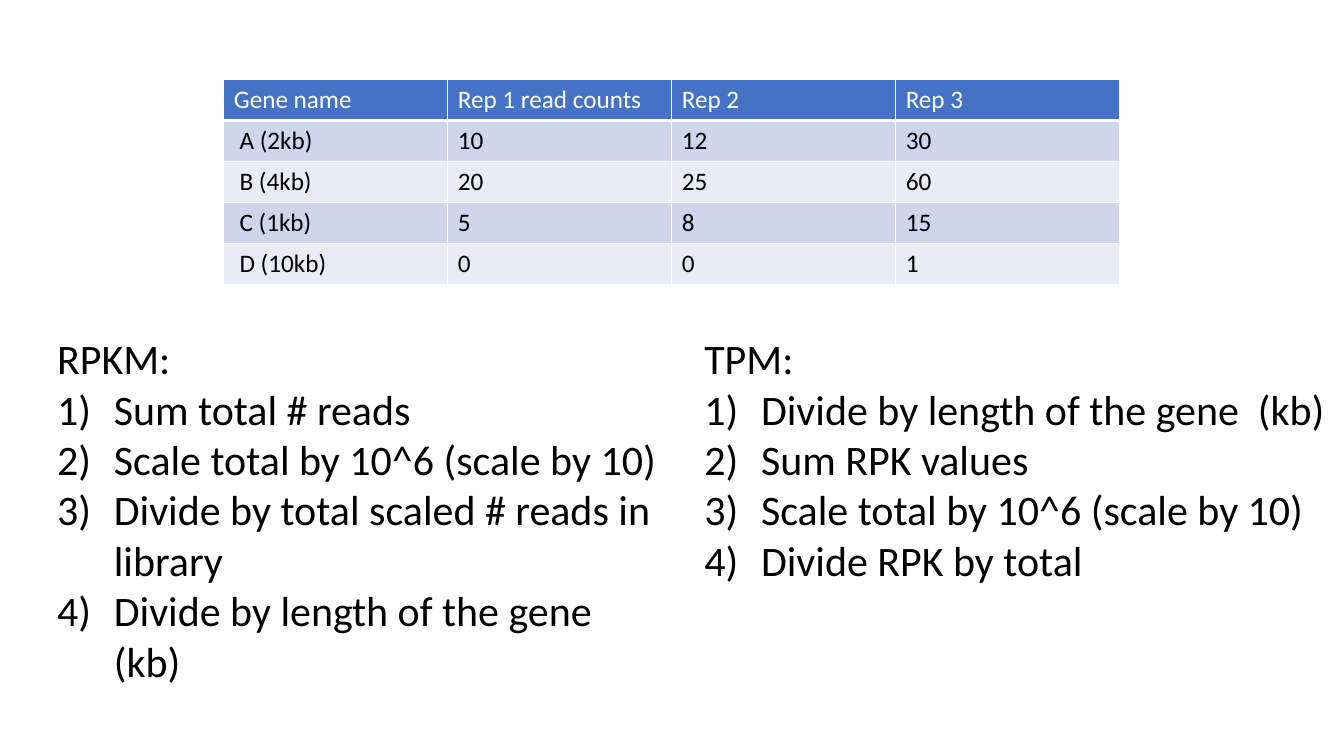
"""Build a slide comparing the RPKM and TPM steps beneath a table of read counts."""
import pptx
import pptx.dml.color
import pptx.enum.text
import pptx.oxml
import pptx.oxml.ns
import pptx.util
from pptx.util import Cm

WHITE = pptx.dml.color.RGBColor(0xFF, 0xFF, 0xFF)
BLACK = pptx.dml.color.RGBColor(0x00, 0x00, 0x00)
HEADER_BLUE = pptx.dml.color.RGBColor(0x44, 0x72, 0xC4)
BAND_DARK = pptx.dml.color.RGBColor(0xCF, 0xD5, 0xEA)
BAND_LIGHT = pptx.dml.color.RGBColor(0xE9, 0xEB, 0xF5)

READ_COUNTS = [
    ["Gene name", "Rep 1 read counts", "Rep 2", "Rep 3"],
    [" A (2kb)", "10", "12", "30"],
    [" B (4kb)", "20", "25", "60"],
    [" C (1kb)", "5", "8", "15"],
    [" D (10kb)", "0", "0", "1"],
]
METHODS = [
    ("RPKM:", Cm(1.19), Cm(15.75), Cm(9.25), [
        "Sum total # reads",
        "Scale total by 10^6 (scale by 10)",
        "Divide by total scaled # reads in library",
        "Divide by length of the gene  (kb)",
    ]),
    ("TPM:", Cm(17.5), Cm(17.02), Cm(6.68), [
        "Divide by length of the gene  (kb)",
        "Sum RPK values",
        "Scale total by 10^6 (scale by 10)",
        "Divide RPK by total",
    ]),
]


def write_text(para, text, size, color):
    span = para.add_run()
    span.text = text
    font_format = {"name": "Calibri", "size": pptx.util.Pt(size), "bold": False}
    for name, value in font_format.items():
        setattr(span.font, name, value)
    span.font.color.rgb = color


def add_border(cell, side, width):
    cell._tc.get_or_add_tcPr().append(pptx.oxml.parse_xml(
        f'<a:{side} {pptx.oxml.ns.nsdecls("a")} w="{pptx.util.Pt(width)}">'
        f'<a:solidFill><a:srgbClr val="{WHITE}"/></a:solidFill></a:{side}>'))


deck = pptx.Presentation()
deck.slide_width, deck.slide_height = Cm(33.87), Cm(19.05)
page = deck.slides.add_slide(deck.slide_layouts[6])

row_count, column_count = len(READ_COUNTS), len(READ_COUNTS[0])
table = page.shapes.add_table(
    row_count, column_count, Cm(5.64), Cm(2.01),
    Cm(5.645) * column_count, Cm(1.03) * row_count).table
for row_index, values in enumerate(READ_COUNTS):
    is_header = row_index == 0
    band = BAND_DARK if row_index % 2 else BAND_LIGHT
    for column_index, value in enumerate(values):
        cell = table.cell(row_index, column_index)
        top_width = 3 if row_index == 1 else 1
        bottom_width = 3 if is_header else 1
        for side, width in {"lnL": 1, "lnR": 1, "lnT": top_width, "lnB": bottom_width}.items():
            add_border(cell, side, width)
        cell.fill.solid()
        cell.fill.fore_color.rgb = HEADER_BLUE if is_header else band
        write_text(cell.text_frame.paragraphs[0], value, 18, WHITE if is_header else BLACK)

for heading, left, width, height, steps in METHODS:
    box = page.shapes.add_textbox(left, Cm(8.26), width, height)
    frame = box.text_frame
    frame.word_wrap = True
    frame.auto_size = pptx.enum.text.MSO_AUTO_SIZE.SHAPE_TO_FIT_TEXT
    write_text(frame.paragraphs[0], heading, 30, BLACK)
    for step in steps:
        para = frame.add_paragraph()
        properties = para._p.get_or_add_pPr()
        for name, value in {"marL": Cm(1.43), "indent": -Cm(1.43)}.items():
            properties.set(name, str(value))
        properties.append(pptx.oxml.parse_xml(
            f'<a:buAutoNum {pptx.oxml.ns.nsdecls("a")} type="arabicParenR"/>'))
        write_text(para, step, 30, BLACK)

deck.save("out.pptx")
